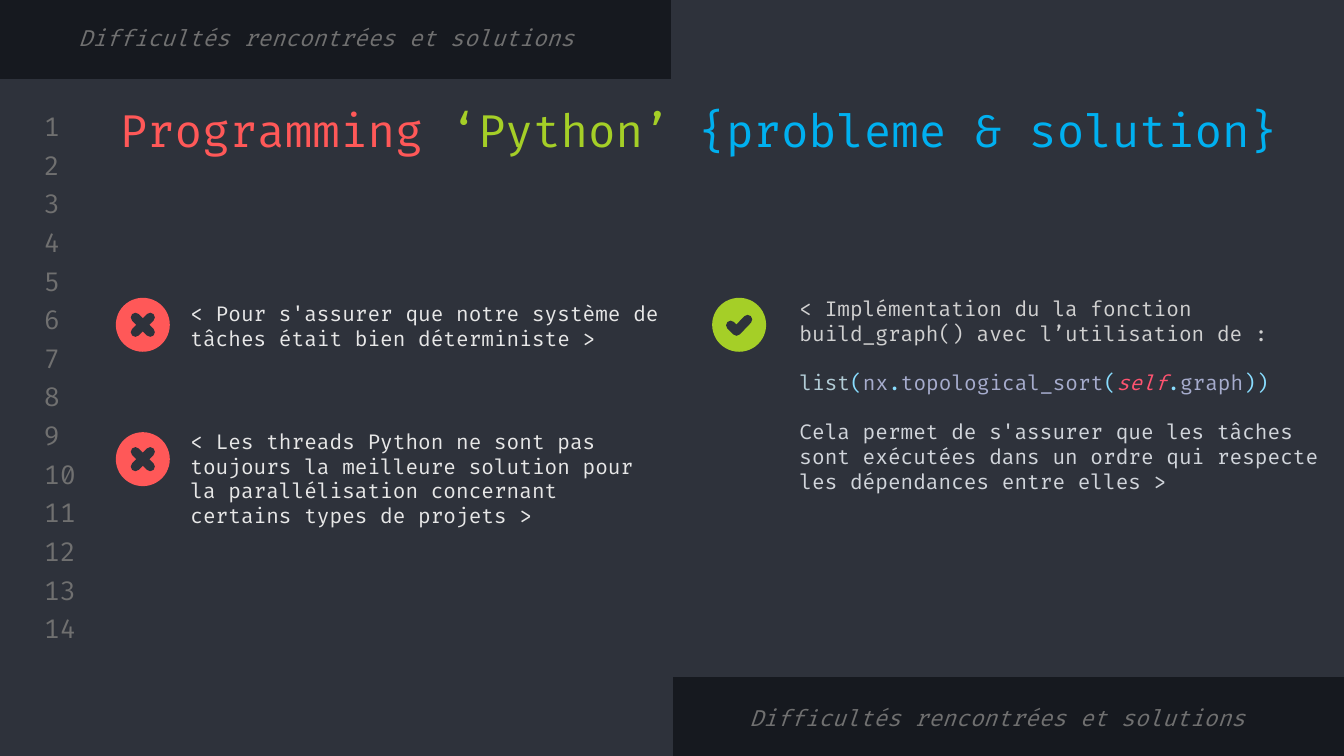
"""Build the slide on Python task difficulties and their solutions."""
from dataclasses import dataclass

from lxml import etree
from pptx import Presentation
from pptx.dml.color import RGBColor
from pptx.enum.shapes import MSO_SHAPE
from pptx.enum.text import MSO_ANCHOR, PP_ALIGN
from pptx.oxml.ns import qn
from pptx.util import Cm, Pt

RECTANGLE, OVAL = MSO_SHAPE.RECTANGLE, MSO_SHAPE.OVAL
MIDDLE, LEFT, CENTER = MSO_ANCHOR.MIDDLE, PP_ALIGN.LEFT, PP_ALIGN.CENTER


@dataclass(frozen=True)
class Theme:
    font: str = "Fira Code"
    dark: str = "16191F"
    panel: str = "2E323B"
    muted: str = "707070"
    red: str = "FF5858"
    green: str = "A5CF27"
    blue: str = "00B0F0"
    problem: str = "E7E7E7"
    solution: str = "D0D0D0"
    result: str = "D1D5DB"
    builtin: str = "B2CCD6"
    punctuation: str = "89DDFF"
    identifier: str = "A6ACCD"
    keyword: str = "FF5370"
    title_size: int = 24
    number_size: int = 14
    caption_size: int = 12
    body_size: int = 11


theme = Theme()


def add_frame(left, top, width, height):
    frame = slide.shapes.add_textbox(Cm(left), Cm(top), Cm(width), Cm(height)).text_frame
    frame.word_wrap = True
    frame.vertical_anchor = MIDDLE
    frame.margin_left = frame.margin_right = Cm(0.25)
    frame.margin_top = frame.margin_bottom = Cm(0.25)
    return frame


def write(paragraph, text, *, color, size=theme.body_size, italic=False, align=LEFT):
    paragraph.alignment = align
    run = paragraph.add_run()
    run.text = text
    run.font.name = theme.font
    run.font.size = Pt(size)
    run.font.italic = italic
    run.font.color.rgb = RGBColor.from_string(color)


prs = Presentation()
prs.slide_width, prs.slide_height = Cm(25.4), Cm(14.29)
slide = prs.slides.add_slide(prs.slide_layouts[6])
slide.background.fill.solid()
slide.background.fill.fore_color.rgb = RGBColor.from_string(theme.dark)

for left, top, width, height in [
    (12.7, 0, 12.7, 1.65),
    (0, 12.64, 12.7, 1.65),
    (0, 1.5, 25.4, 11.28),
]:
    panel = slide.shapes.add_shape(RECTANGLE, Cm(left), Cm(top), Cm(width), Cm(height))
    panel.shadow.inherit = False
    panel.fill.solid()
    panel.fill.fore_color.rgb = RGBColor.from_string(theme.panel)
    panel.line.color.rgb = RGBColor.from_string(theme.panel)
    panel.line.width = Pt(0.75)

for index in range(14):
    number = add_frame(0.58, 2.08 + 0.73 * index, 1.19, 0.61)
    write(number.paragraphs[0], str(index + 1), color=theme.muted, size=theme.number_size)

title = add_frame(2.01, 1.65, 23.22, 1.6).paragraphs[0]
for text, color in [
    ("Programming ", theme.red),
    ("‘Python’ ", theme.green),
    ("{probleme & solution}", theme.blue),
]:
    write(title, text, color=color, size=theme.title_size)

for text, box in [
    ("< Les threads Python ne sont pas toujours la meilleure solution pour "
     "la parallélisation concernant certains types de projets >", (3.35, 7.9, 9.55, 2.29)),
    ("< Pour s'assurer que notre système de tâches était bien déterministe >",
     (3.35, 5.21, 10.36, 1.91)),
]:
    write(add_frame(*box).paragraphs[0], text, color=theme.problem)

cross = [[(-0.14, -0.14), (0.14, 0.14)], [(-0.14, 0.14), (0.14, -0.14)]]
check = [[(-0.16, 0.01), (-0.05, 0.12), (0.16, -0.1)]]
for center_x, center_y, color, strokes in [
    (13.97, 6.14, theme.green, check),
    (2.7, 8.68, theme.red, cross),
    (2.7, 6.14, theme.red, cross),
]:
    badge = slide.shapes.add_shape(
        OVAL, Cm(center_x - 0.51), Cm(center_y - 0.51), Cm(1.02), Cm(1.02))
    badge.shadow.inherit = False
    badge.fill.solid()
    badge.fill.fore_color.rgb = RGBColor.from_string(color)
    badge.line.fill.background()

    strokes = [[(Cm(center_x + x), Cm(center_y + y)) for x, y in stroke] for stroke in strokes]
    builder = slide.shapes.build_freeform(*strokes[0][0])
    for stroke in strokes:
        builder.move_to(*stroke[0])
        builder.add_line_segments(stroke[1:], close=False)
    mark = builder.convert_to_shape()
    mark.shadow.inherit = False
    mark.fill.background()
    mark.line.color.rgb = RGBColor.from_string(theme.panel)
    mark.line.width = Pt(5)
    outline = mark.line._get_or_add_ln()
    outline.set("cap", "rnd")
    etree.SubElement(outline, qn("a:round"))

solution = add_frame(14.86, 5.49, 10.36, 3.94)
intro, code, result = solution.paragraphs[0], solution.add_paragraph(), solution.add_paragraph()
code.space_before = result.space_before = Pt(13.2)
write(intro, "< Implémentation du la fonction build_graph() avec l’utilisation de :",
      color=theme.solution)
for text, color in [
    ("list", theme.builtin),
    ("(", theme.punctuation),
    ("nx", theme.identifier),
    (".", theme.punctuation),
    ("topological_sort", theme.identifier),
    ("(", theme.punctuation),
    ("self", theme.keyword),
    (".", theme.punctuation),
    ("graph", theme.identifier),
    ("))", theme.punctuation),
]:
    write(code, text, color=color, italic=color == theme.keyword)
write(result, "Cela permet de s'assurer que les tâches sont exécutées dans un ordre "
      "qui respecte les dépendances entre elles >", color=theme.result)

for left, top in [(-0.18, 0.33), (12.5, 13.18)]:
    caption = add_frame(left, top, 12.7, 0.77).paragraphs[0]
    write(caption, "Difficultés rencontrées et solutions", color=theme.muted,
          size=theme.caption_size, italic=True, align=CENTER)

prs.save("out.pptx")
